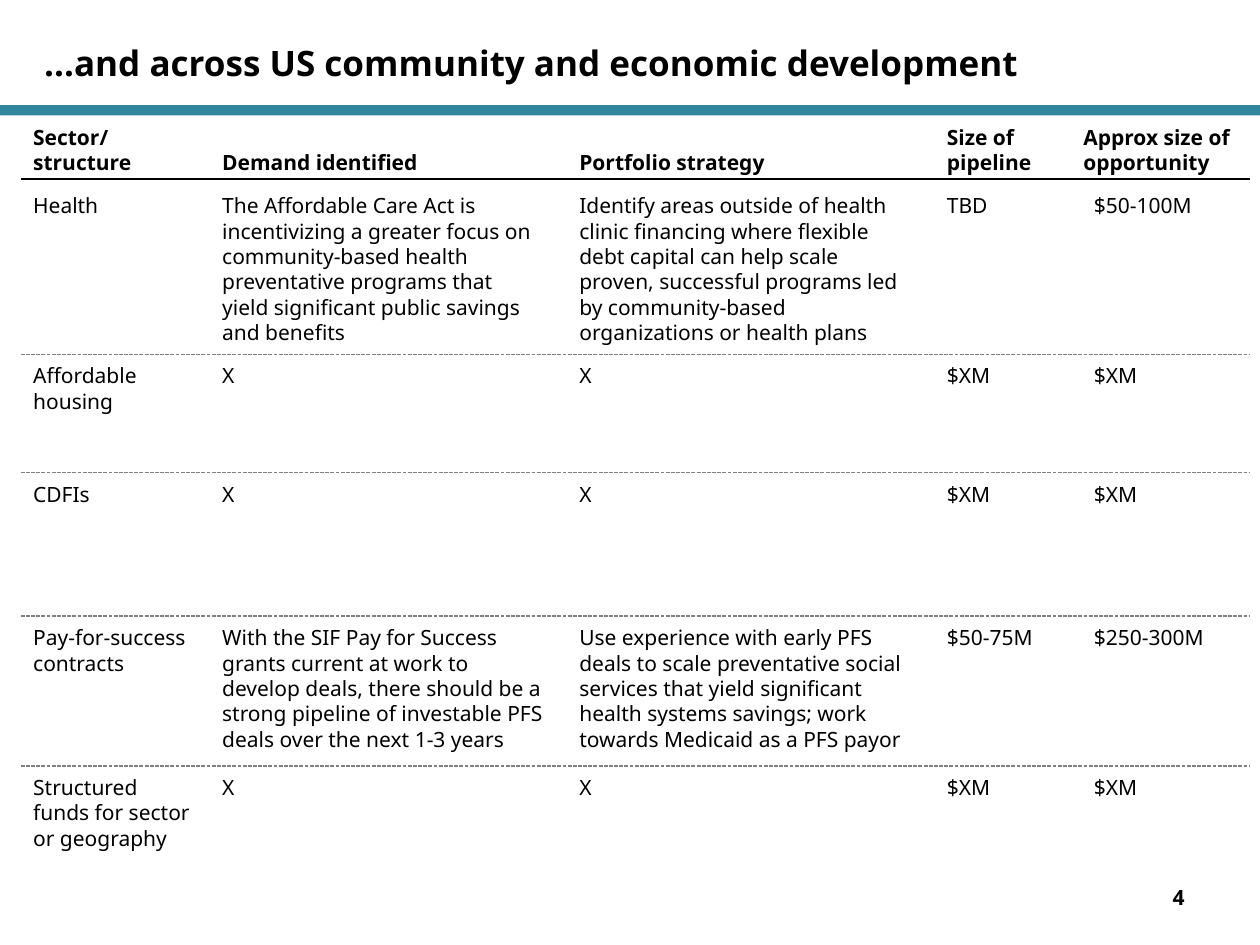
from pptx import Presentation
from pptx.util import Cm, Pt
from pptx.dml.color import RGBColor
from pptx.enum.dml import MSO_LINE_DASH_STYLE as Dash
from pptx.enum.shapes import MSO_SHAPE as Shape, MSO_CONNECTOR as Link
from pptx.enum.text import PP_ALIGN as Align, MSO_ANCHOR as Anchor
from pptx.oxml import parse_xml
from pptx.oxml.ns import nsdecls

BLACK = RGBColor(0x00, 0x00, 0x00)
GREY = RGBColor(0x80, 0x80, 0x80)
TEAL = RGBColor(0x31, 0x85, 0x9C)
FONT = "Noto Sans"

deck = Presentation()
deck.slide_width, deck.slide_height = Cm(25.4), Cm(19.05)
slide = deck.slides.add_slide(deck.slide_layouts[6])
shapes = slide.shapes


def write(text, x, y, w, h, size=12, bold=False, align=Align.LEFT, top=0.17):
    box = shapes.add_textbox(Cm(x), Cm(y), Cm(w), Cm(h))
    frame = box.text_frame
    frame.word_wrap = True
    frame.vertical_anchor = Anchor.TOP
    frame.margin_top = Cm(top)
    para = frame.paragraphs[0]
    para.alignment = align
    para.line_spacing = Pt(round(size * 1.207, 1))
    run = para.add_run()
    run.text = text
    run.font.name = FONT
    run.font.size = Pt(size)
    run.font.bold = bold
    run.font.color.rgb = BLACK


def rule(y, color, dash=None):
    line = shapes.add_connector(Link.STRAIGHT, Cm(0.42), Cm(y), Cm(25.2), Cm(y))
    line.line.color.rgb = color
    line.line.width = Pt(0.75)
    if dash:
        line.line.dash_style = dash
    line._element.spPr.append(parse_xml(f"<a:effectLst {nsdecls('a')}/>"))


band = shapes.add_shape(Shape.RECTANGLE, 0, Cm(2.12), Cm(25.4), Cm(0.21))
band.shadow.inherit = False
band.fill.solid()
band.fill.fore_color.rgb = TEAL
band.line.fill.background()

write("…and across US community and economic development", 0.64, 0.64, 24.13, 1.48,
      size=20, bold=True, top=0.2)
write("4", 18.2, 17.65, 5.93, 1.01, bold=True, align=Align.RIGHT)

heads = [
    ("Sector/structure", 0.42, 3.18, 2),
    ("Demand identified", 4.23, 5.08, 1),
    ("Portfolio strategy", 11.43, 6.17, 1),
    ("Size of pipeline", 18.84, 3.6, 2),
    ("Approx size of opportunity", 21.59, 4.02, 2),
]
for text, x, w, count in heads:
    high = 0.26 + 0.51 * count
    write(text, x, 3.61 - high, w, high, bold=True)
rule(3.61, BLACK)

cols = [(0.42, 3.81), (4.23, 6.99), (11.43, 7.2), (18.84, 5.93), (21.8, 3.6)]
rows = [
    (3.71, 3.33, [
        "Health",
        "The Affordable Care Act is incentivizing a greater focus on community-based "
        "health preventative programs that yield significant public savings and benefits",
        "Identify areas outside of health clinic financing where flexible debt capital "
        "can help scale proven, successful programs led by community-based organizations "
        "or health plans",
        "TBD", "$50-100M"]),
    (7.14, 1.28, ["Affordable housing", "X", "X", "$XM", "$XM"]),
    (9.53, 0.77, ["CDFIs", "X", "X", "$XM", "$XM"]),
    (12.42, 2.82, [
        "Pay-for-success contracts",
        "With the SIF Pay for Success grants current at work to develop deals, there "
        "should be a strong pipeline of investable PFS deals over the next 1-3 years",
        "Use experience with early PFS deals to scale preventative social services that "
        "yield significant health systems savings; work towards Medicaid as a PFS payor",
        "$50-75M", "$250-300M"]),
    (15.44, 1.8, ["Structured funds for sector or geography", "X", "X", "$XM", "$XM"]),
]
for i, (y, high, cells) in enumerate(rows):
    if i:
        rule(y, GREY, Dash.SQUARE_DOT)
    for (x, w), text in zip(cols, cells):
        short = len(text) < 10
        write(text, x, y, w, 0.77 if short else high)

deck.save("out.pptx")
